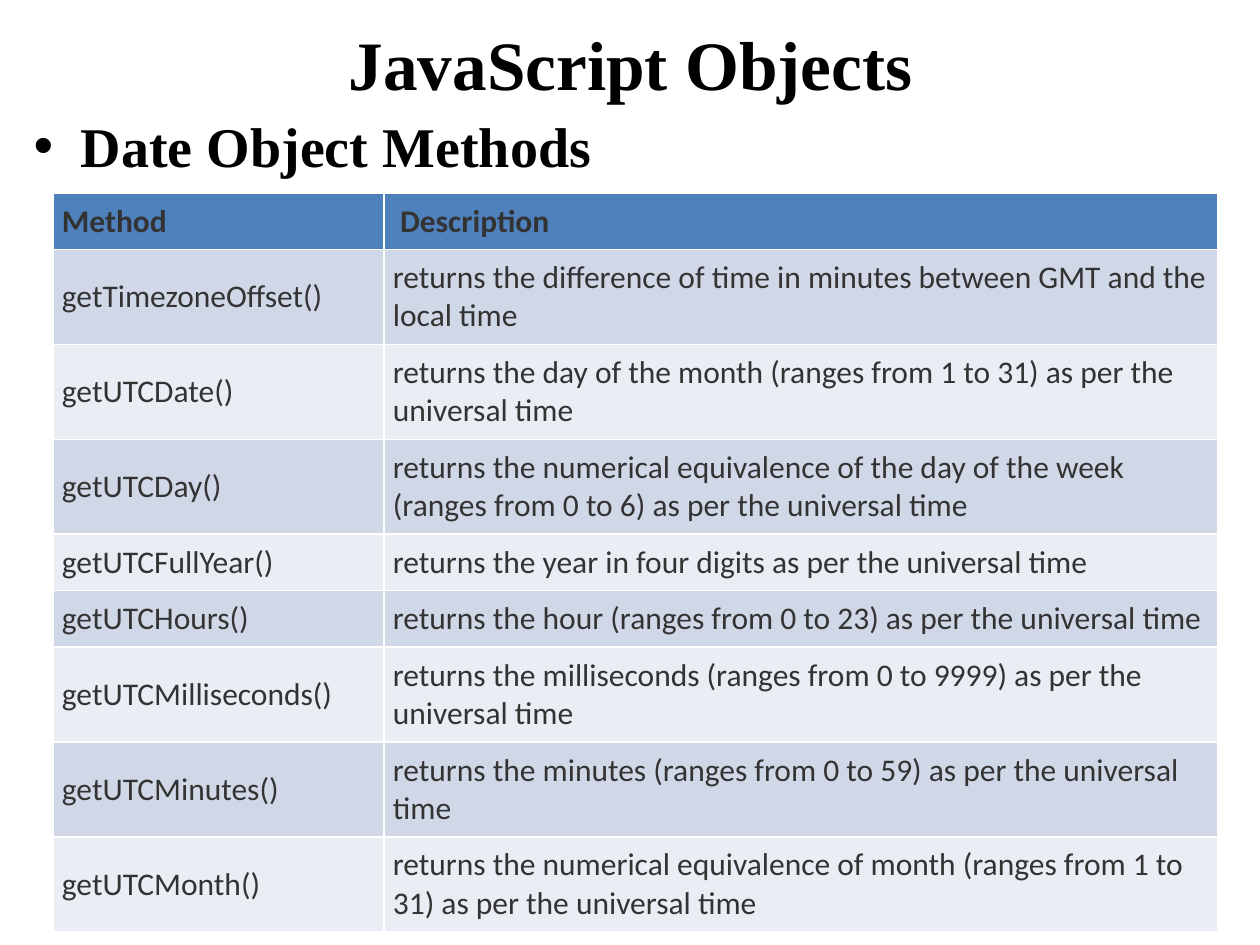
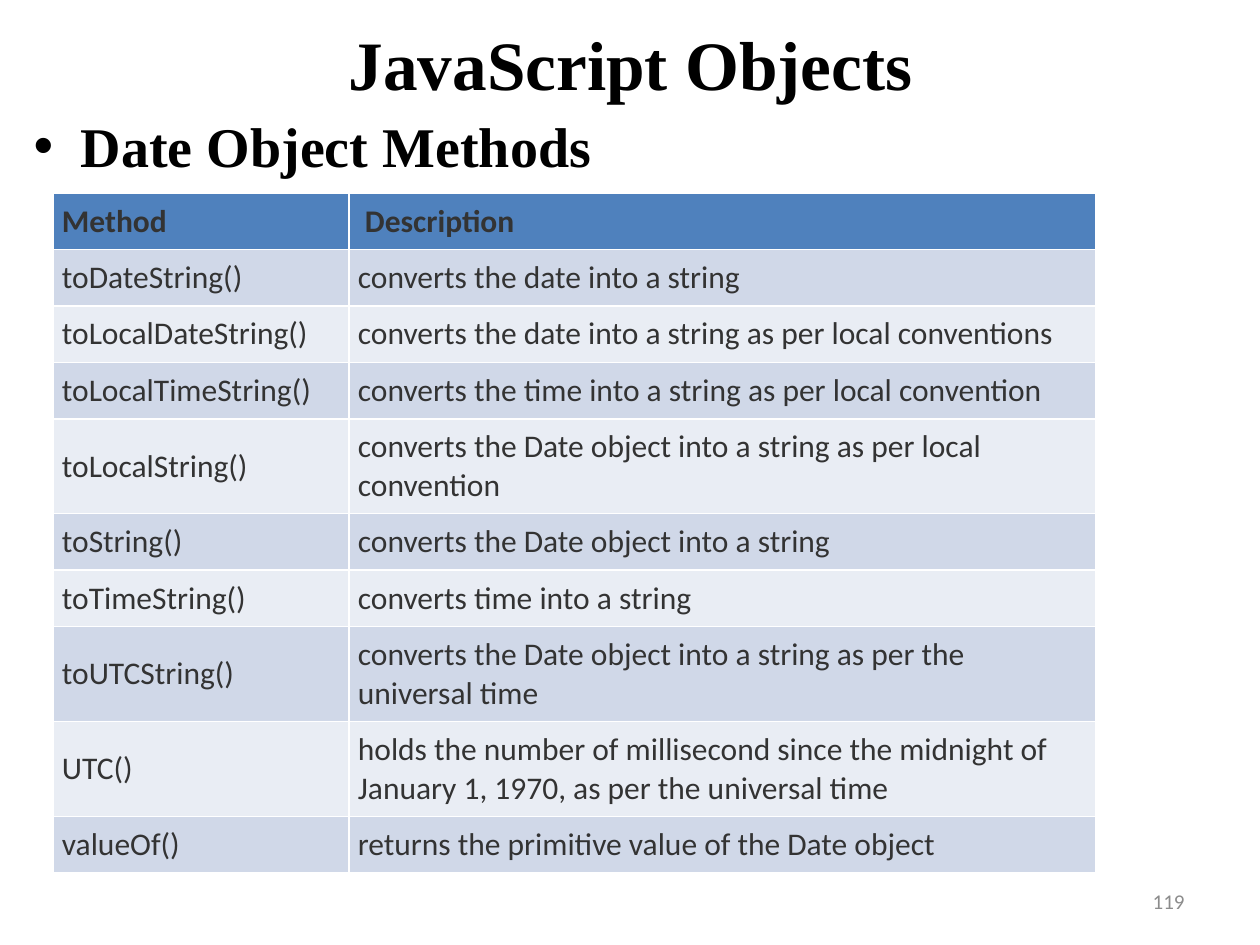
from pptx import Presentation, util as u
from pptx.dml.color import RGBColor
from pptx.enum import text as t

# Content
TITLE = "JavaScript Objects"
TOPIC = "Date Object Methods"
HEAD = ("Method", " Description")
PAGES = [
    {"cols": (331, 834), "tall": 732, "num": None, "rows": [
        ("getTimezoneOffset()", "returns the difference of time in minutes between GMT and the local time"),
        ("getUTCDate()", "returns the day of the month (ranges from 1 to 31) as per the universal time"),
        ("getUTCDay()", "returns the numerical equivalence of the day of the week "
                        "(ranges from 0 to 6) as per the universal time"),
        ("getUTCFullYear()", "returns the year in four digits as per the universal time"),
        ("getUTCHours()", "returns the hour (ranges from 0 to 23) as per the universal time"),
        ("getUTCMilliseconds()", "returns the milliseconds (ranges from 0 to 9999) as per the universal time"),
        ("getUTCMinutes()", "returns the minutes (ranges from 0 to 59) as per the universal time"),
        ("getUTCMonth()", "returns the numerical equivalence of month "
                          "(ranges from 1 to 31) as per the universal time"),
    ]},
    {"cols": (296, 747), "tall": 675, "num": "119", "rows": [
        ("toDateString()", "converts the date into a string"),
        ("toLocalDateString()", "converts the date into a string as per local conventions"),
        ("toLocalTimeString()", "converts the time into a string as per local convention"),
        ("toLocalString()", "converts the Date object into a string as per local convention"),
        ("toString()", "converts the Date object into a string"),
        ("toTimeString()", "converts time into a string"),
        ("toUTCString()", "converts the Date object into a string as per the universal time"),
        ("UTC()", "holds the number of millisecond since the midnight of "
                  "January 1, 1970, as per the universal time"),
        ("valueOf()", "returns the primitive value of the Date object"),
    ]},
]

# Shared look
BLACK = RGBColor(0x00, 0x00, 0x00)
DARK = RGBColor(0x33, 0x33, 0x33)
GREY = RGBColor(0x8C, 0x8C, 0x8C)
BLUE = RGBColor(0x4F, 0x81, 0xBD)
BANDS = (RGBColor(0xE9, 0xED, 0xF4), RGBColor(0xD0, 0xD8, 0xE8))
SERIF, SANS = "Times New Roman", "Calibri"
FONTS = {
    "title": {"name": SERIF, "size": u.Pt(39.6), "bold": True},
    "topic": {"name": SERIF, "size": u.Pt(32), "bold": True},
    "head": {"name": SANS, "size": u.Pt(18), "bold": True},
    "cell": {"name": SANS, "size": u.Pt(18), "bold": False},
    "num": {"name": SANS, "size": u.Pt(12), "bold": False},
}
BOXES = {
    "title": (32, 21, 1197, 84),
    "topic": (21, 105, 1218, 809),
    "num": (903, 876, 294, 50),
}
LEFT, TOP, ROW, PAD = 53, 193, 52, 9


def px(n):
    return u.Emu(round(n * 914400 / 126))


def put(obj, vals):
    for key, val in vals.items():
        setattr(obj, key, val)


def write(frame, words, kind, color, align):
    par = frame.paragraphs[0]
    par.alignment = align
    run = par.add_run()
    run.text = words
    put(run.font, FONTS[kind])
    run.font.color.rgb = color


def fill_box(shape, words, kind, color, align, anchor):
    put(shape, dict(zip(("left", "top", "width", "height"), map(px, BOXES[kind]))))
    put(shape.text_frame, {"word_wrap": True, "auto_size": t.MSO_AUTO_SIZE.NONE,
                           "vertical_anchor": anchor})
    write(shape.text_frame, words, kind, color, align)


def add_grid(slide, page):
    rows = [HEAD] + page["rows"]
    frame = slide.shapes.add_table(len(rows), len(HEAD), px(LEFT), px(TOP),
                                   px(sum(page["cols"])), px(ROW * len(rows)))
    grid = frame.table
    for col, wide in zip(grid.columns, page["cols"]):
        col.width = px(wide)
    sides = ("left", "top", "right", "bottom")
    form = {"margin_" + side: px(PAD) for side in sides}
    form["vertical_anchor"] = t.MSO_ANCHOR.MIDDLE
    for r, row in enumerate(rows):
        grid.rows[r].height = px(ROW)
        for c, words in enumerate(row):
            cell = grid.cell(r, c)
            put(cell, form)
            cell.fill.solid()
            cell.fill.fore_color.rgb = BANDS[r % 2] if r else BLUE
            write(cell.text_frame, words, "cell" if r else "head", DARK, t.PP_ALIGN.LEFT)
    frame.height = px(page["tall"])


def add_page(deck, page):
    slide = deck.slides.add_slide(deck.slide_layouts[1])
    mid, top = t.MSO_ANCHOR.MIDDLE, t.MSO_ANCHOR.TOP
    # Title and topic
    fill_box(slide.shapes.title, TITLE, "title", BLACK, t.PP_ALIGN.CENTER, mid)
    fill_box(slide.placeholders[1], TOPIC, "topic", BLACK, t.PP_ALIGN.JUSTIFY, top)
    # Page number
    if page["num"]:
        box = slide.shapes.add_textbox(0, 0, 0, 0)
        fill_box(box, page["num"], "num", GREY, t.PP_ALIGN.RIGHT, mid)
    # Method table
    add_grid(slide, page)


def main():
    deck = Presentation()
    put(deck, {"slide_width": px(1260), "slide_height": px(945)})
    for page in PAGES:
        add_page(deck, page)
    deck.save("out.pptx")


if __name__ == "__main__":
    main()
